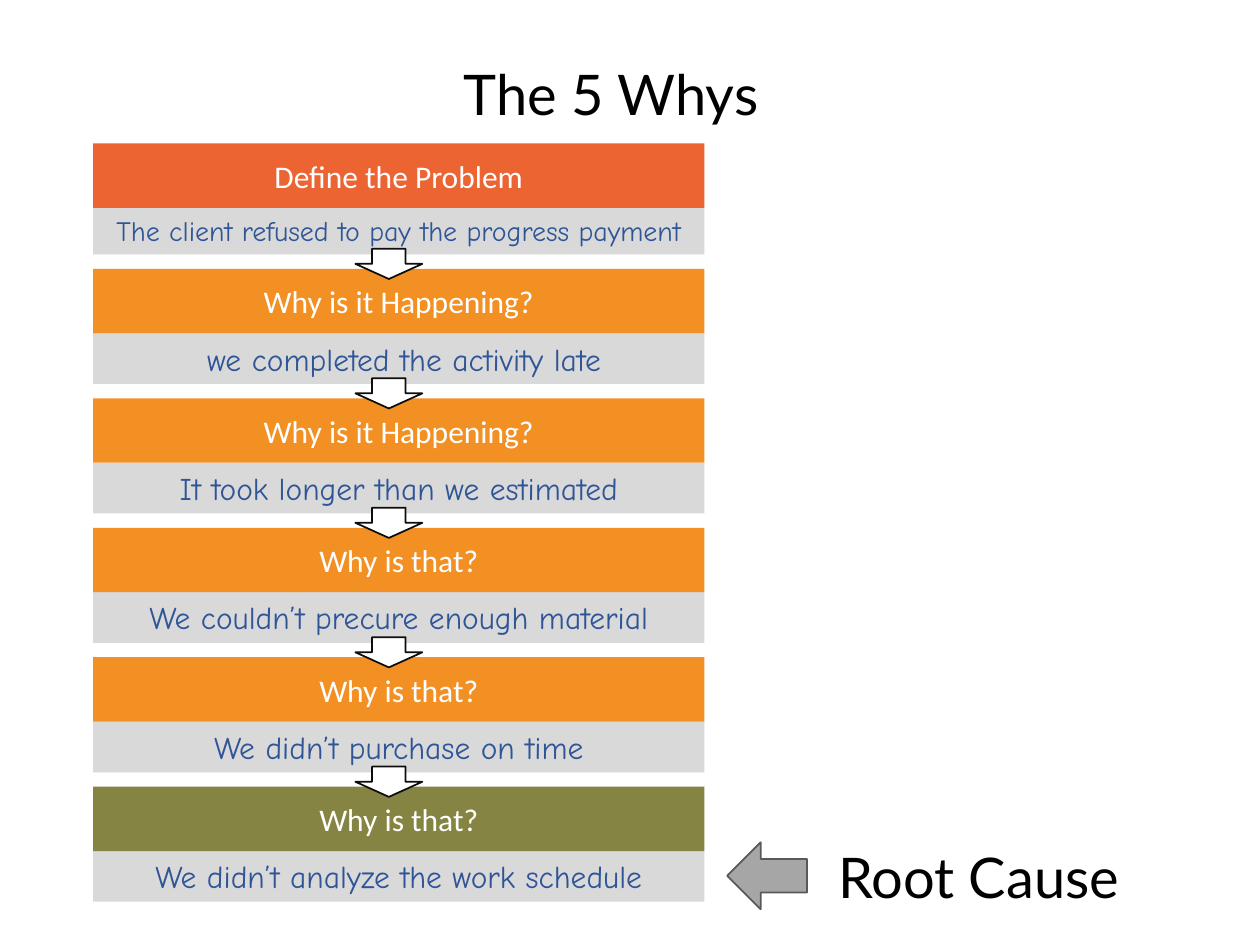
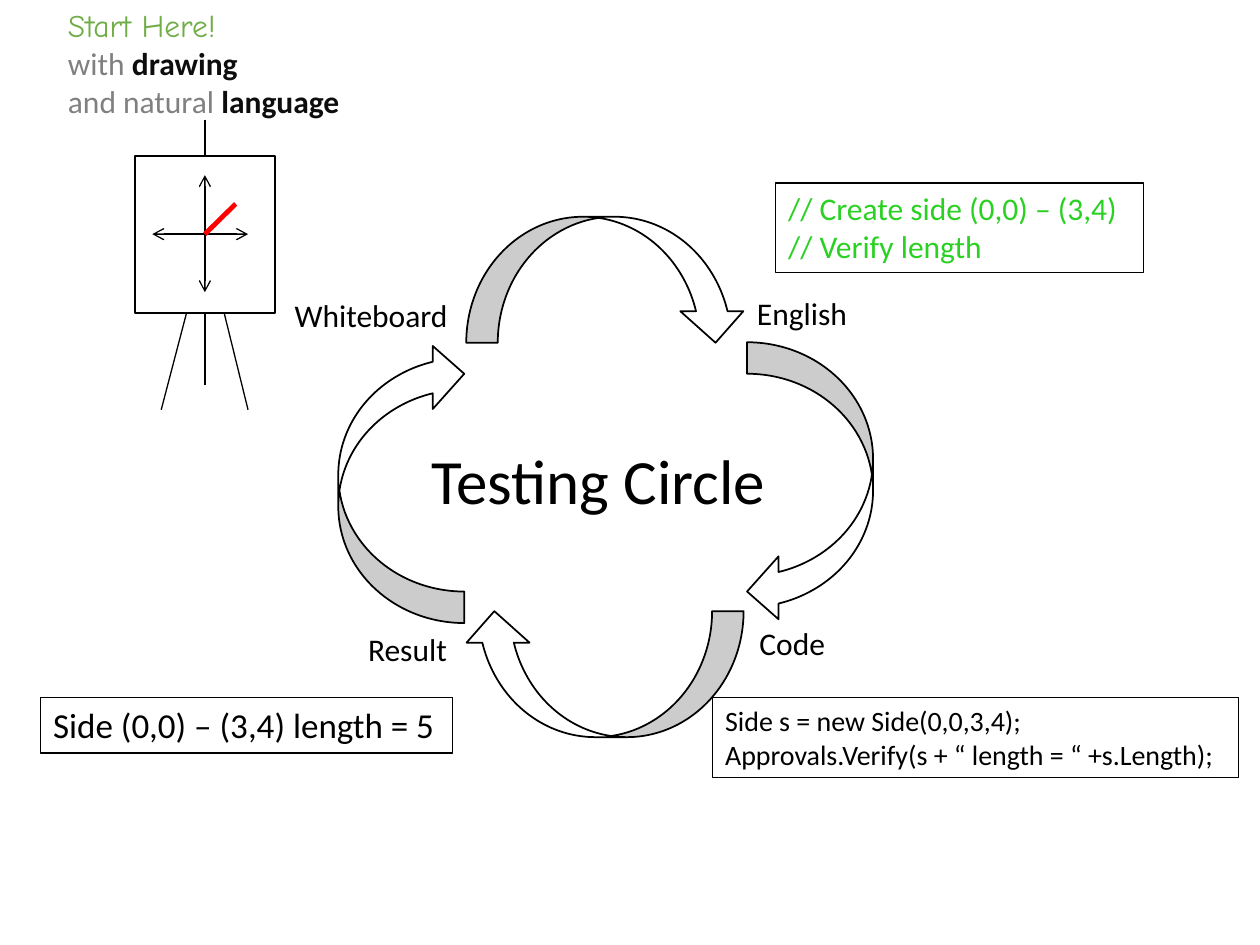
from lxml.etree import SubElement
from pptx import Presentation
from pptx.dml.color import RGBColor
from pptx.enum.shapes import MSO_CONNECTOR as Line, MSO_SHAPE as Shape
from pptx.enum.text import MSO_ANCHOR as Anchor, MSO_AUTO_SIZE as Fit, PP_ALIGN as Align
from pptx.oxml.ns import qn
from pptx.util import Cm, Pt

COLORS = {
    "white": "FFFFFF", "black": "000000", "ink": "0D0D0D",
    "problem": "EC6432", "why": "F29024", "root": "858442",
    "answer": "D9D9D9", "answer text": "2F5597",
    "cause arrow": "A6A6A6", "cause edge": "595959",
    "comment": "2AD122", "start": "70AD47", "muted": "808080", "side": "FF0000",
}

# ---- Content: the five whys (heading, heading colour, answer, answer size, answer height)
WHYS_TITLE = "The 5 Whys"
ROOT_CAUSE = "Root Cause"
STEPS = [
    ("Define the Problem", "problem", "The client refused to pay the progress payment", 16, 0.94),
    ("Why is it Happening?", "why", " we completed the activity late", 18, 1.02),
    ("Why is it Happening?", "why", "It took longer than we estimated", 18, 1.02),
    ("Why is that?", "why", "We couldn’t precure enough material", 18, 1.02),
    ("Why is that?", "why", "We didn’t purchase on time", 18, 1.02),
    ("Why is that?", "root", "We didn’t analyze the work schedule", 18, 1.02),
]

# ---- Content: the testing circle (boxes in cm: left, top, width, height)
CIRCLE_TITLE = "Testing Circle"
STAGES = [
    ("English", (15.01, 5.81, 3.12, 1.02)),
    ("Code", (15.06, 12.45, 2.64, 1.27)),
    ("Result", (7.17, 12.57, 2.13, 1.02)),
    ("Whiteboard", (5.69, 5.84, 4.04, 1.02)),
]
EXAMPLES = [
    (["// Create side (0,0) – (3,4)", "// Verify length"],
     (15.64, 3.69, 7.42, 1.8), 18, "comment"),
    (["Side s = new Side(0,0,3,4);", "Approvals.Verify(s + “ length = “ +s.Length);"],
     (14.37, 14.06, 10.6, 1.62), 16, "black"),
    (["Side (0,0) – (3,4) length = 5"], (0.82, 14.06, 8.31, 1.12), 20, "black"),
]
MUTED = {"color": "muted"}
STRONG = {"color": "ink", "bold": True}
START_NOTE = [
    [("Start Here!", {"font": "Comic Neue", "color": "start"})],
    [("with ", MUTED), ("drawing", STRONG)],
    [("and natural ", MUTED), ("language", STRONG)],
]
# Centre of each curved arrow and its rotation
TURNS = [((8.09, 9.73), 270), ((16.33, 9.73), 90), ((12.23, 5.64), 0), ((12.16, 13.59), 180)]


# ---- Shared helpers
def rgb(name):
    return RGBColor.from_string(COLORS[name])


def write(shape, paragraphs, *, size=18, font="Calibri", color="black", bold=False,
          align=Align.LEFT, anchor=Anchor.TOP, wrap=True, fit=Fit.SHAPE_TO_FIT_TEXT):
    """Fill a shape with paragraphs; each is a string or a list of (text, overrides)."""
    frame = shape.text_frame
    frame.word_wrap, frame.auto_size, frame.vertical_anchor = wrap, fit, anchor
    for number, content in enumerate(paragraphs):
        paragraph = frame.add_paragraph() if number else frame.paragraphs[0]
        paragraph.alignment = align
        for text, changes in [(content, {})] if isinstance(content, str) else content:
            run = paragraph.add_run()
            run.text = text
            run.font.size = Pt(size)
            run.font.name = changes.get("font", font)
            run.font.bold = changes.get("bold", bold)
            run.font.color.rgb = rgb(changes.get("color", color))


def place(shape, box):
    shape.left, shape.top, shape.width, shape.height = map(Cm, box)


def draw(shapes, kind, box, fill, edge=None, weight=1, rotation=0):
    shape = shapes.add_shape(kind, *map(Cm, box))
    shape.shadow.inherit = False
    shape.rotation = rotation
    shape.fill.solid()
    shape.fill.fore_color.rgb = rgb(fill)
    if edge:
        shape.line.color.rgb = rgb(edge)
        shape.line.width = Pt(weight)
    else:
        shape.line.fill.background()
    return shape


def draw_line(shapes, start, end, color="black", weight=0.75, arrows=False):
    line = shapes.add_connector(Line.STRAIGHT, *map(Cm, start + end))
    line.line.color.rgb = rgb(color)
    line.line.width = Pt(weight)
    if arrows:
        for tip in ("a:headEnd", "a:tailEnd"):
            SubElement(line.get_or_add_ln(), qn(tip), type="arrow")
    SubElement(line._element.spPr, qn("a:effectLst"))
    return line


def label(slide, paragraphs, box, **style):
    write(slide.shapes.add_textbox(*map(Cm, box)), paragraphs, **style)


def titled_slide(deck, title, box, **style):
    slide = deck.slides.add_slide(deck.slide_layouts[5])
    place(slide.shapes.title, box)
    write(slide.shapes.title, [title], **style)
    return slide


# ---- Slide 1
def five_whys(deck):
    big = {"size": 32, "font": "Lato", "align": Align.CENTER}
    slide = titled_slide(deck, WHYS_TITLE, (1.04, 1.07, 22.56, 1.62), **big)
    left, width, heading_height, gap = 1.88, 12.32, 1.3, 0.29
    arrow_center, arrow_width, arrow_height = 7.84, 1.35, 0.61

    # Stack of headings and answers
    top, heading_tops = 2.89, []
    for heading, color, answer, size, answer_height in STEPS:
        heading_tops.append(top)
        step = slide.shapes.add_group_shape().shapes
        answer_top = top + heading_height
        write(draw(step, Shape.RECTANGLE, (left, answer_top, width, answer_height), "answer"),
              [answer], size=size, font="Comic Neue", color="answer text", align=Align.CENTER)
        write(draw(step, Shape.RECTANGLE, (left, top, width, heading_height), color),
              [heading], color="white", align=Align.CENTER, anchor=Anchor.MIDDLE, fit=Fit.NONE)
        top = answer_top + answer_height + gap

    # Root cause callout
    cause = draw(slide.shapes, Shape.RECTANGLE, (15.3, 16.86, 8.86, 1.62), "white")
    write(cause, [ROOT_CAUSE], **big)
    draw(slide.shapes, Shape.LEFT_ARROW, (14.66, 16.98, 1.61, 1.35), "cause arrow", "cause edge")

    # Arrows straddling the gaps
    for top in heading_tops[1:]:
        box = (arrow_center - arrow_width / 2, top - 0.1 - arrow_height / 2,
               arrow_width, arrow_height)
        draw(slide.shapes, Shape.DOWN_ARROW, box, "white", "ink")


# ---- Slide 2
def draw_easel(slide):
    easel = slide.shapes.add_group_shape().shapes
    center, top, bottom, axis = 4.13, 3.15, 6.31, 4.72
    board = draw(easel, Shape.RECTANGLE, (2.72, top, 2.82, bottom - top), "white", "black")
    draw_line(easel, (center, 2.41), (center, top)).end_connect(board, 0)
    draw_line(easel, (center, 7.77), (center, bottom)).end_connect(board, 2)
    for foot, hip in ((3.25, 3.76), (5.0, 4.52)):
        draw_line(easel, (foot, 8.26), (hip, bottom))
    draw_line(easel, (center, 3.53), (center, 5.89), arrows=True)
    draw_line(easel, (3.07, axis), (5.0, axis), arrows=True)
    draw_line(easel, (center, axis), (4.75, 4.11), "side", 2.75)


def testing_circle(deck):
    slide = titled_slide(deck, CIRCLE_TITLE, (8.44, 8.77, 7.47, 1.8), size=36, wrap=False)
    draw_easel(slide)
    for lines, box, size, color in EXAMPLES:
        write(draw(slide.shapes, Shape.RECTANGLE, box, "white", "black", 0.75),
              lines, size=size, color=color)

    # Ring of curved arrows
    width, height = 5.66, 2.54
    for (x, y), rotation in TURNS:
        draw(slide.shapes, Shape.CURVED_DOWN_ARROW, (x - width / 2, y - height / 2, width, height),
             "white", "black", rotation=rotation)

    # Stage names and starting note
    for stage, box in STAGES:
        label(slide, [stage], box, wrap=stage != "Code")
    label(slide, START_NOTE, (1.12, 0, 6.05, 2.57), wrap=False)


def main():
    deck = Presentation()
    deck.slide_width, deck.slide_height = Cm(25.4), Cm(19.05)
    five_whys(deck)
    testing_circle(deck)
    deck.save("out.pptx")


if __name__ == "__main__":
    main()
